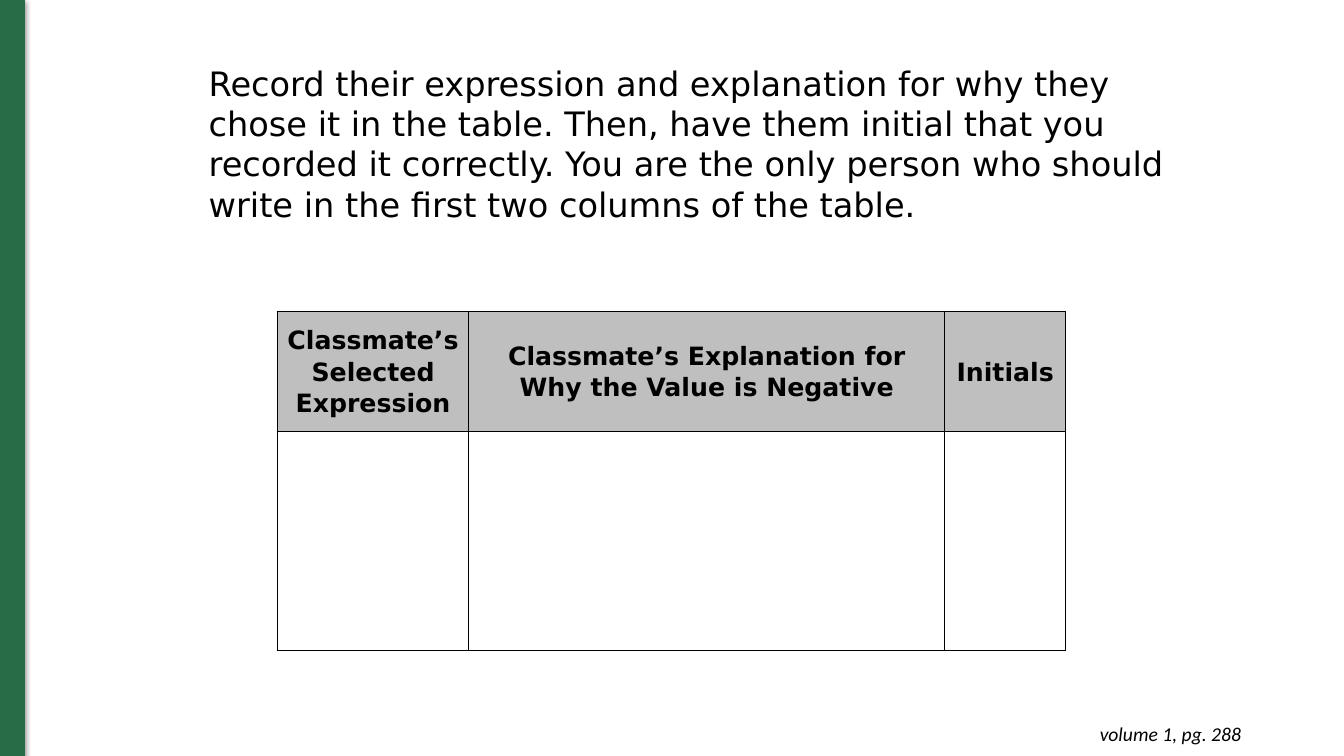
from dataclasses import dataclass

from lxml import etree
from pptx import Presentation, util as u
from pptx.dml.color import RGBColor
from pptx.enum import shapes, text
from pptx.oxml.ns import qn

PX = 9144
BLACK, WHITE, GREEN, GREY = "000000", "FFFFFF", "276C46", "BFBFBF"
SANS = "DejaVu Sans"


@dataclass
class Column:
    width: int
    heading: str


COLUMNS = [
    Column(190, "Classmate’s\nSelected Expression"),
    Column(472, "Classmate’s Explanation for Why the Value is Negative"),
    Column(120, "Initials"),
]
ROW_HEIGHTS = [119, 217]
INSTRUCTIONS = (
    "Record their expression and explanation for why they chose it in the table. "
    "Then, have them initial that you recorded it correctly. "
    "You are the only person who should write in the first two columns of the table."
)


def px(n: int) -> u.Emu:
    return u.Emu(n * PX)


def rgb(value: str) -> RGBColor:
    return RGBColor.from_string(value)


def add_xml(parent, tag: str, **attrs):
    return etree.SubElement(parent, qn(tag), {k: str(v) for k, v in attrs.items()})


def style(p, size: int, font: str, align, bold: bool = False, italic: bool = False) -> None:
    p.alignment = align
    for r in p.runs:
        r.font.size, r.font.name = u.Pt(size), font
        r.font.bold, r.font.italic = bold, italic
        r.font.color.rgb = rgb(BLACK)


def add_side_bar(s) -> None:
    sp = s.shapes.add_shape(shapes.MSO_SHAPE.RECTANGLE, 0, 0, px(24), px(751))
    sp.fill.solid()
    sp.fill.fore_color.rgb = rgb(GREEN)
    sp.line.color.rgb = rgb(GREEN)
    sp.line.width = u.Pt(0.75)
    sp.shadow.inherit = False
    effects = sp._element.spPr.find(qn("a:effectLst"))
    shadow = add_xml(effects, "a:outerShdw", blurRad=u.Pt(4.5), dist=u.Pt(1.5),
                     dir=5400000, rotWithShape=0)
    add_xml(add_xml(shadow, "a:srgbClr", val=BLACK), "a:alpha", val=50000)


def add_instructions(s) -> None:
    sp = s.shapes.title
    sp.left, sp.top, sp.width, sp.height = px(146), px(57), px(1059), px(212)
    tf = sp.text_frame
    tf.text = INSTRUCTIONS
    tf.word_wrap = True
    tf.auto_size = text.MSO_AUTO_SIZE.NONE
    tf.vertical_anchor = text.MSO_ANCHOR.TOP
    p = tf.paragraphs[0]
    style(p, 24, SANS, text.PP_ALIGN.LEFT)
    p._p.get_or_add_pPr().set("marL", str(px(51)))


def format_cell(cell, fill: str) -> None:
    tcPr = cell._tc.get_or_add_tcPr()
    for side in ("a:lnL", "a:lnR", "a:lnT", "a:lnB"):
        ln = add_xml(tcPr, side, w=u.Pt(1))
        add_xml(add_xml(ln, "a:solidFill"), "a:srgbClr", val=BLACK)
    cell.fill.solid()
    cell.fill.fore_color.rgb = rgb(fill)
    cell.margin_left = cell.margin_right = px(7)
    cell.margin_top = cell.margin_bottom = 0
    cell.vertical_anchor = text.MSO_ANCHOR.MIDDLE


def add_record_table(s) -> None:
    width = sum(c.width for c in COLUMNS)
    table = s.shapes.add_table(len(ROW_HEIGHTS), len(COLUMNS), px(275), px(309),
                               px(width), px(sum(ROW_HEIGHTS))).table
    for row, height in zip(table.rows, ROW_HEIGHTS):
        row.height = px(height)
    for i, column in enumerate(COLUMNS):
        table.columns[i].width = px(column.width)
        heading, blank = table.cell(0, i), table.cell(1, i)
        heading.text_frame.text = column.heading
        format_cell(heading, GREY)
        format_cell(blank, WHITE)
        for p in heading.text_frame.paragraphs:
            p.line_spacing = 1.07
            style(p, 18, SANS, text.PP_ALIGN.CENTER, bold=True)


def add_page_reference(s) -> None:
    tf = s.shapes.add_textbox(px(953), px(706), px(288), px(44)).text_frame
    tf.text = "volume 1, pg. 288"
    tf.word_wrap = True
    tf.margin_top = tf.margin_bottom = tf.margin_left = tf.margin_right = px(10)
    style(tf.paragraphs[0], 14, "Calibri", text.PP_ALIGN.RIGHT, italic=True)


def main() -> None:
    prs = Presentation()
    prs.slide_width, prs.slide_height = px(1333), px(750)
    s = prs.slides.add_slide(prs.slide_layouts[5])
    add_side_bar(s)
    add_record_table(s)
    add_instructions(s)
    add_page_reference(s)
    prs.save("out.pptx")


if __name__ == "__main__":
    main()
